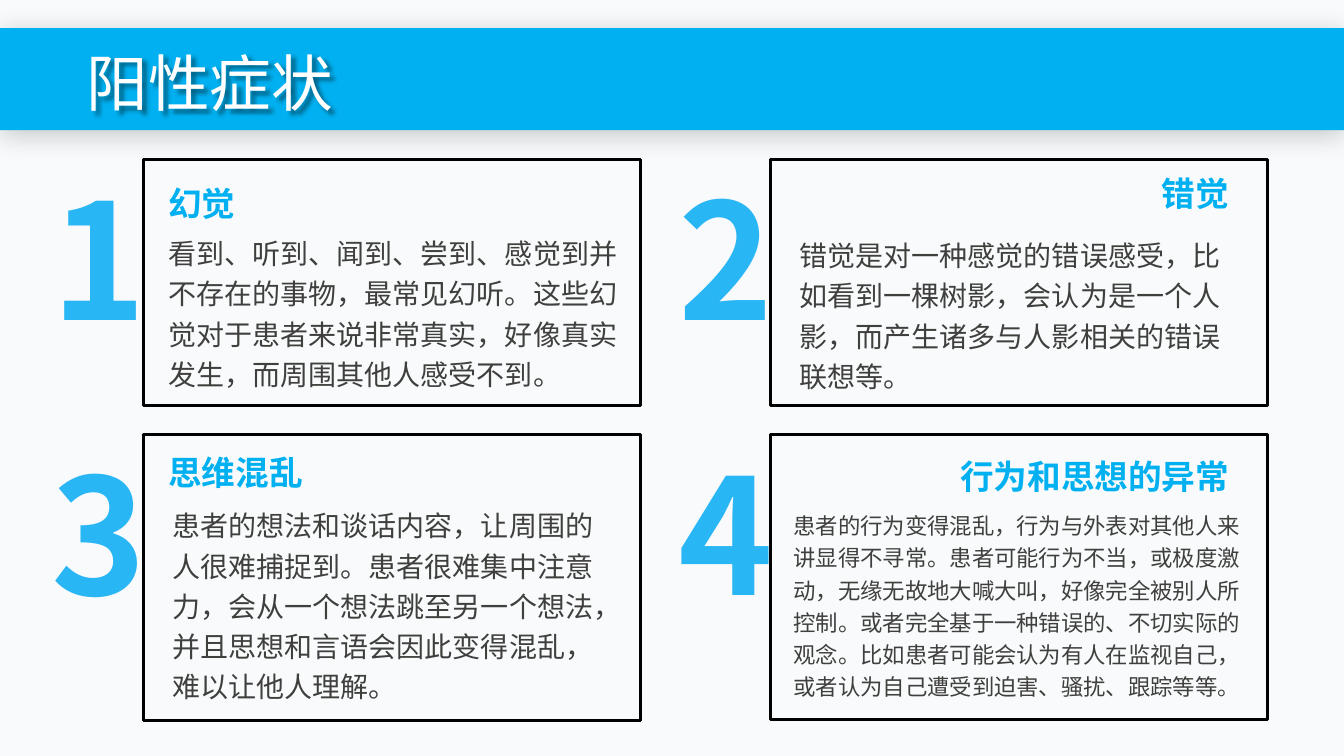
import pptx
import pptx.dml.color
import pptx.enum.shapes
import pptx.enum.text
import pptx.oxml
import pptx.oxml.ns
import pptx.util
from pptx.util import Inches

FONT = "Noto Sans CJK SC"
BLUE = "00B0F0"
DIGIT_BLUE = "29B6F4"
TEXT_GREY = "3F403E"
ALIGN = pptx.enum.text.PP_ALIGN
ANCHOR = pptx.enum.text.MSO_ANCHOR

# Frame (left, top, height), number, heading (left, top, alignment), body (left, top, width, height, size)
SYMPTOMS = [
    ((1.42, 1.58, 2.44), "1", ("幻觉", 1.67, 1.7, ALIGN.LEFT),
     ("看到、听到、闻到、尝到、感觉到并不存在的事物，最常见幻听。这些幻觉对于患者来说"
      "非常真实，好像真实发生，而周围其他人感受不到。", 1.67, 2.28, 4.5, 1.32, 20)),
    ((7.64, 1.58, 2.44), "2", ("错觉", 8.2, 1.61, ALIGN.RIGHT),
     ("错觉是对一种感觉的错误感受，比如看到一棵树影，会认为是一个人影，而产生诸多与"
      "人影相关的错误联想等。", 7.93, 2.3, 4.33, 1.52, 20)),
    ((1.42, 4.31, 2.84), "3", ("思维混乱", 1.67, 4.37, ALIGN.LEFT),
     ("患者的想法和谈话内容，让周围的人很难捕捉到。患者很难集中注意力，会从一个想法"
      "跳至另一个想法，并且思想和言语会因此变得混乱，难以让他人理解。",
      1.71, 4.98, 4.35, 1.98, 20)),
    ((7.64, 4.31, 2.83), "4", ("行为和思想的异常", 8.2, 4.41, ALIGN.RIGHT),
     ("患者的行为变得混乱，行为与外表对其他人来讲显得不寻常。患者可能行为不当，或极度"
      "激动，无缘无故地大喊大叫，好像完全被别人所控制。或者完全基于一种错误的、不切实际"
      "的观念。比如患者可能会认为有人在监视自己，或者认为自己遭受到迫害、骚扰、跟踪等等。",
      7.87, 5.03, 4.54, 2.06, 16)),
]


def color(hex_value):
    return pptx.dml.color.RGBColor.from_string(hex_value)


def add_shadow(shape, opacity, blur, distance, angle):
    """Cast a black shadow; opacity in percent, lengths in points, angle in degrees."""
    shape.shadow.inherit = False
    effects = shape._element.spPr.find(pptx.oxml.ns.qn("a:effectLst"))
    effects.append(pptx.oxml.parse_xml(
        f'<a:outerShdw {pptx.oxml.ns.nsdecls("a")} blurRad="{pptx.util.Pt(blur)}" '
        f'dist="{pptx.util.Pt(distance)}" dir="{angle * 60000}" algn="t" rotWithShape="0">'
        f'<a:srgbClr val="000000"><a:alpha val="{opacity * 1000}"/></a:srgbClr></a:outerShdw>'))


def add_block(slide, left, top, width, height):
    block = slide.shapes.add_shape(
        pptx.enum.shapes.MSO_SHAPE.ROUNDED_RECTANGLE,
        Inches(left), Inches(top), Inches(width), Inches(height))
    block.adjustments[0] = 0
    block.shadow.inherit = False
    return block


def add_frame(slide, left, top, height):
    frame = add_block(slide, left, top, 4.93, height)
    frame.fill.background()
    frame.line.color.rgb = color("000000")
    frame.line.width = pptx.util.Pt(2)


def add_band(slide):
    band = add_block(slide, 0, 0.28, 13.33, 1.01)
    band.fill.solid()
    band.fill.fore_color.rgb = color(BLUE)
    band.line.fill.background()
    add_shadow(band, 20, 20, 3, 90)


def add_text(slide, text, left, top, width, height, size, hex_value, bold=False,
             align=ALIGN.LEFT, anchor=ANCHOR.TOP, spacing=1.0, wrap=True):
    box = slide.shapes.add_textbox(Inches(left), Inches(top), Inches(width), Inches(height))
    frame = box.text_frame
    frame.word_wrap = wrap
    frame.vertical_anchor = anchor
    frame.margin_left = frame.margin_right = frame.margin_top = frame.margin_bottom = 0
    para = frame.paragraphs[0]
    para.text = text
    para.alignment = align
    para.line_spacing = spacing
    font = para.font
    font.name = FONT
    font.size = pptx.util.Pt(size)
    font.bold = bold
    font.color.rgb = color(hex_value)
    east_asian = pptx.oxml.parse_xml(
        f'<a:ea {pptx.oxml.ns.nsdecls("a")} typeface="{FONT}"/>')
    font._element.append(east_asian)
    return box


def add_symptom(slide, frame, number, heading, body):
    left, top, height = frame
    add_frame(slide, left, top, height)
    add_text(slide, number, left - 0.94, top, 1.01, 1.8, 115, DIGIT_BLUE,
             bold=True, align=ALIGN.CENTER, wrap=False)
    title, title_left, title_top, align = heading
    add_text(slide, title, title_left, title_top, 3.99, 0.62, 24, BLUE,
             bold=True, align=align, anchor=ANCHOR.MIDDLE)
    add_text(slide, *body, TEXT_GREY, spacing=1.2)


def main():
    deck = pptx.Presentation()
    deck.slide_width = Inches(13.33)
    deck.slide_height = Inches(7.5)
    slide = deck.slides.add_slide(deck.slide_layouts[6])
    slide.background.fill.solid()
    slide.background.fill.fore_color.rgb = color("F9FAFB")

    add_band(slide)
    title = add_text(slide, "阳性症状", 0.86, 0.18, 11.3, 1.35, 44, "FFFFFF",
                     anchor=ANCHOR.MIDDLE, spacing=0.9)
    add_shadow(title, 43, 3, 3, 45)
    for symptom in SYMPTOMS:
        add_symptom(slide, *symptom)
    deck.save("out.pptx")


if __name__ == "__main__":
    main()
